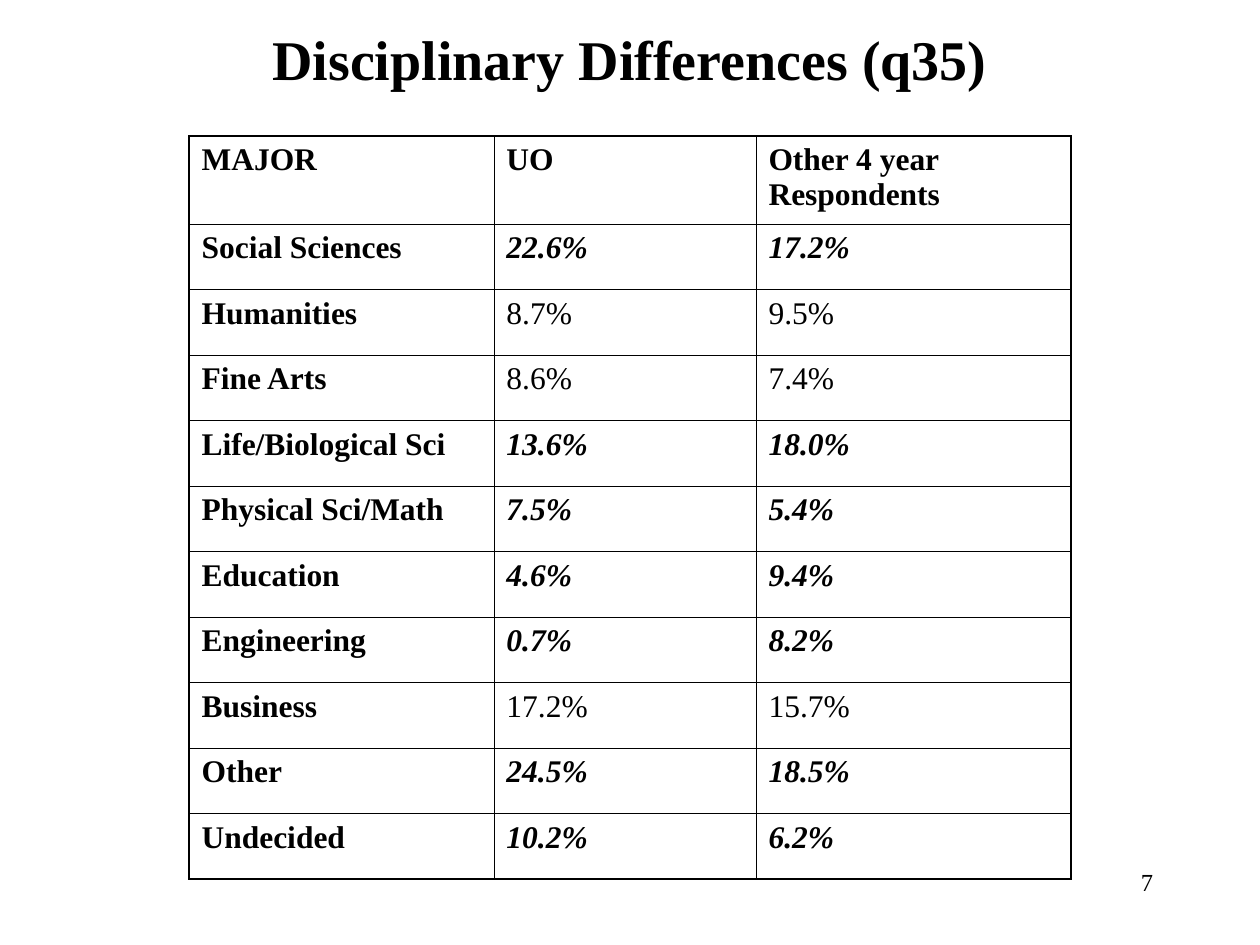
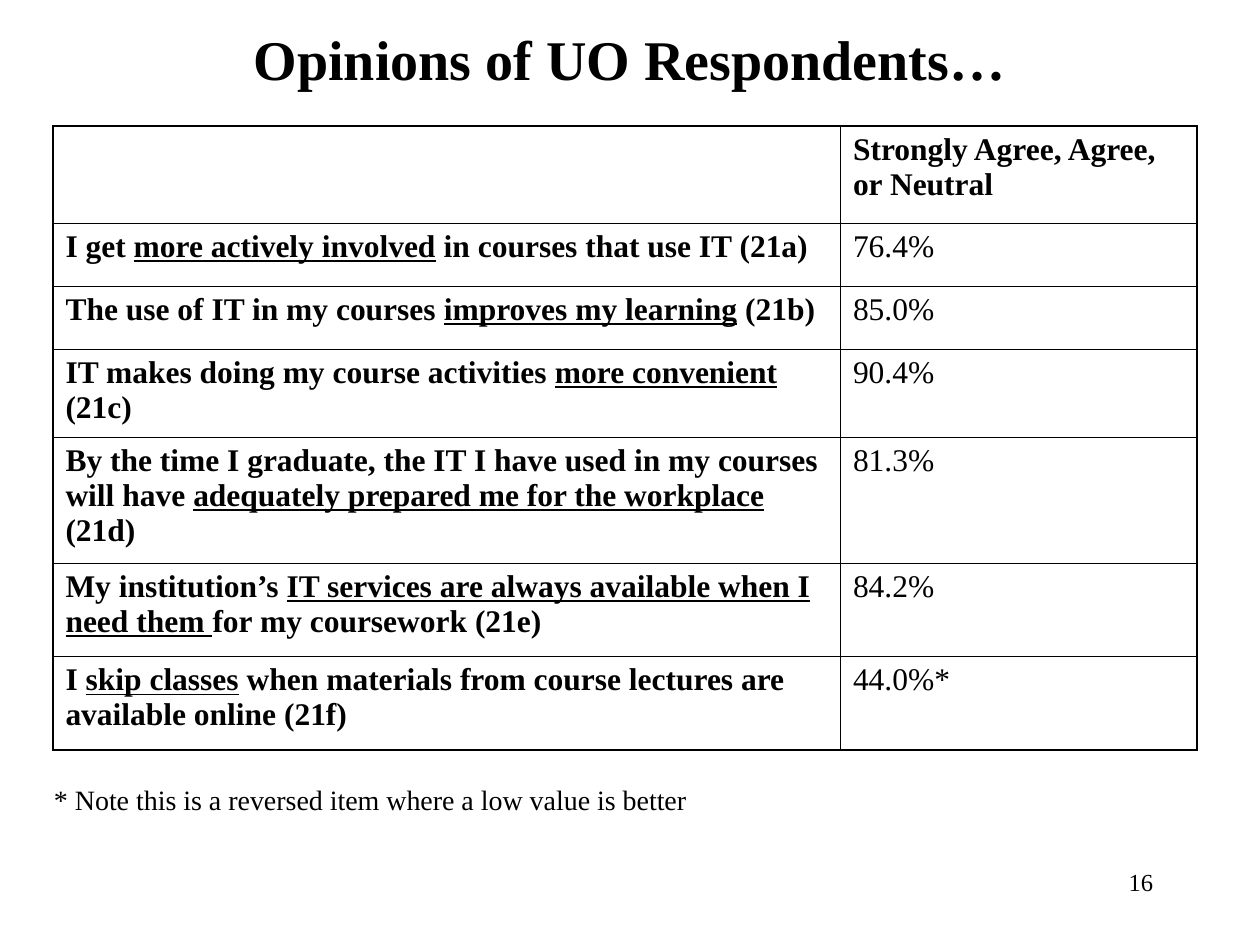
from dataclasses import dataclass

import pptx
import pptx.dml.color
import pptx.enum.text
import pptx.oxml
import pptx.oxml.ns
import pptx.util
from pptx.util import Inches

COLORS = {"text": "000000", "border": "000000"}
FONT = "Times New Roman"
OUTER, INNER = 1.08, 0.45  # border widths in points
ALIGN = pptx.enum.text.PP_ALIGN


@dataclass
class Cell:
    text: str
    bold: bool = False
    italic: bool = False


@dataclass
class Grid:
    left: float
    top: float
    widths: list[float]
    heights: list[float]
    rows: list[list[Cell]]


def write(tf, text: str, size: float = 18, bold: bool = False,
          italic: bool = False, align=ALIGN.LEFT) -> None:
    """Fill the first paragraph; parts between underscores are underlined."""
    p = tf.paragraphs[0]
    p.alignment = align
    for i, part in enumerate(text.split("_")):
        if not part:
            continue
        r = p.add_run()
        r.text = part
        r.font.name = FONT
        r.font.size = pptx.util.Pt(size)
        r.font.bold = bold
        r.font.italic = italic
        r.font.underline = i % 2 == 1
        r.font.color.rgb = pptx.dml.color.RGBColor.from_string(COLORS["text"])


def set_borders(cell, widths: dict[str, float]) -> None:
    tc_pr = cell._tc.get_or_add_tcPr()
    for side, width in widths.items():
        tc_pr.append(pptx.oxml.parse_xml(
            f'<a:ln{side} {pptx.oxml.ns.nsdecls("a")} w="{pptx.util.Pt(width)}">'
            f'<a:solidFill><a:srgbClr val="{COLORS["border"]}"/></a:solidFill>'
            f'</a:ln{side}>'))


def add_grid(s, grid: Grid) -> None:
    n_rows, n_cols = len(grid.heights), len(grid.widths)
    table = s.shapes.add_table(
        n_rows, n_cols, Inches(grid.left), Inches(grid.top),
        Inches(sum(grid.widths)), Inches(sum(grid.heights))).table
    table.first_row = table.horz_banding = False
    for column, width in zip(table.columns, grid.widths):
        column.width = Inches(width)
    for i, (row, height) in enumerate(zip(table.rows, grid.heights)):
        row.height = Inches(height)
        for j, content in enumerate(grid.rows[i]):
            cell = table.cell(i, j)
            write(cell.text_frame, content.text, bold=content.bold,
                  italic=content.italic)
            on_edge = {"L": j == 0, "R": j == n_cols - 1,
                       "T": i == 0, "B": i == n_rows - 1}
            set_borders(cell, {side: OUTER if edge else INNER
                               for side, edge in on_edge.items()})
            cell.fill.background()


def add_text(s, left: float, top: float, width: float, height: float,
             text: str, wrap: bool = True, **style) -> None:
    tf = s.shapes.add_textbox(Inches(left), Inches(top), Inches(width),
                              Inches(height)).text_frame
    tf.word_wrap = wrap
    write(tf, text, **style)


def add_slide(prs, title: str, number: int, grid: Grid):
    s = prs.slides.add_slide(prs.slide_layouts[5])
    sp = s.shapes.title
    sp.left, sp.top = Inches(0.75), Inches(0.17)
    sp.width, sp.height = Inches(8.5), Inches(0.58)
    tf = sp.text_frame
    tf.auto_size = pptx.enum.text.MSO_AUTO_SIZE.NONE
    tf.vertical_anchor = pptx.enum.text.MSO_ANCHOR.MIDDLE
    write(tf, title, size=32, bold=True, align=ALIGN.CENTER)
    add_text(s, 7.17, 6.83, 2.08, 0.5, str(number), size=14, align=ALIGN.RIGHT)
    add_grid(s, grid)
    return s


def header(*labels: str) -> list[Cell]:
    return [Cell(label, bold=True) for label in labels]


def major_row(major: str, uo: str, others: str, differs: bool) -> list[Cell]:
    return [Cell(major, bold=True),
            *(Cell(value, bold=differs, italic=differs) for value in (uo, others))]


MAJORS = [
    ("Social Sciences", "22.6%", "17.2%", True),
    ("Humanities", "8.7%", "9.5%", False),
    ("Fine Arts", "8.6%", "7.4%", False),
    ("Life/Biological Sci", "13.6%", "18.0%", True),
    ("Physical Sci/Math", "7.5%", "5.4%", True),
    ("Education", "4.6%", "9.4%", True),
    ("Engineering", "0.7%", "8.2%", True),
    ("Business", "17.2%", "15.7%", False),
    ("Other", "24.5%", "18.5%", True),
    ("Undecided", "10.2%", "6.2%", True),
]

OPINIONS = [
    ("I get _more actively involved_ in courses that use IT (21a)", "76.4%"),
    ("The use of IT in my courses _improves my learning_ (21b)", "85.0%"),
    ("IT makes doing my course activities _more convenient_ (21c)", "90.4%"),
    ("By the time I graduate, the IT I have used in my courses will have "
     "_adequately prepared me for the workplace _(21d)", "81.3%"),
    ("My institution’s _IT services are always available when I need them _"
     "for my coursework (21e)", "84.2%"),
    ("I _skip classes_ when materials from course lectures are available "
     "online (21f)", "44.0%*"),
]


def main() -> None:
    prs = pptx.Presentation()
    prs.slide_width, prs.slide_height = Inches(10), Inches(7.5)

    add_slide(prs, "Disciplinary Differences (q35)", 7, Grid(
        1.5, 1.08, [2.42, 2.08, 2.5], [0.7] + [0.52] * len(MAJORS),
        [header("MAJOR", "UO", "Other 4 year Respondents"),
         *(major_row(*major) for major in MAJORS)]))

    s = add_slide(prs, "Opinions of UO Respondents…", 16, Grid(
        0.42, 1, [6.25, 2.83], [0.77, 0.5, 0.5, 0.7, 1, 0.74, 0.74],
        [header("", "Strongly Agree, Agree, or Neutral"),
         *([Cell(opinion, bold=True), Cell(share)]
           for opinion, share in OPINIONS)]))
    add_text(s, 0.33, 6.16, 5.22, 0.37,
             "* Note this is a reversed item where a low value is better",
             wrap=False, size=16)

    prs.save("out.pptx")


if __name__ == "__main__":
    main()
